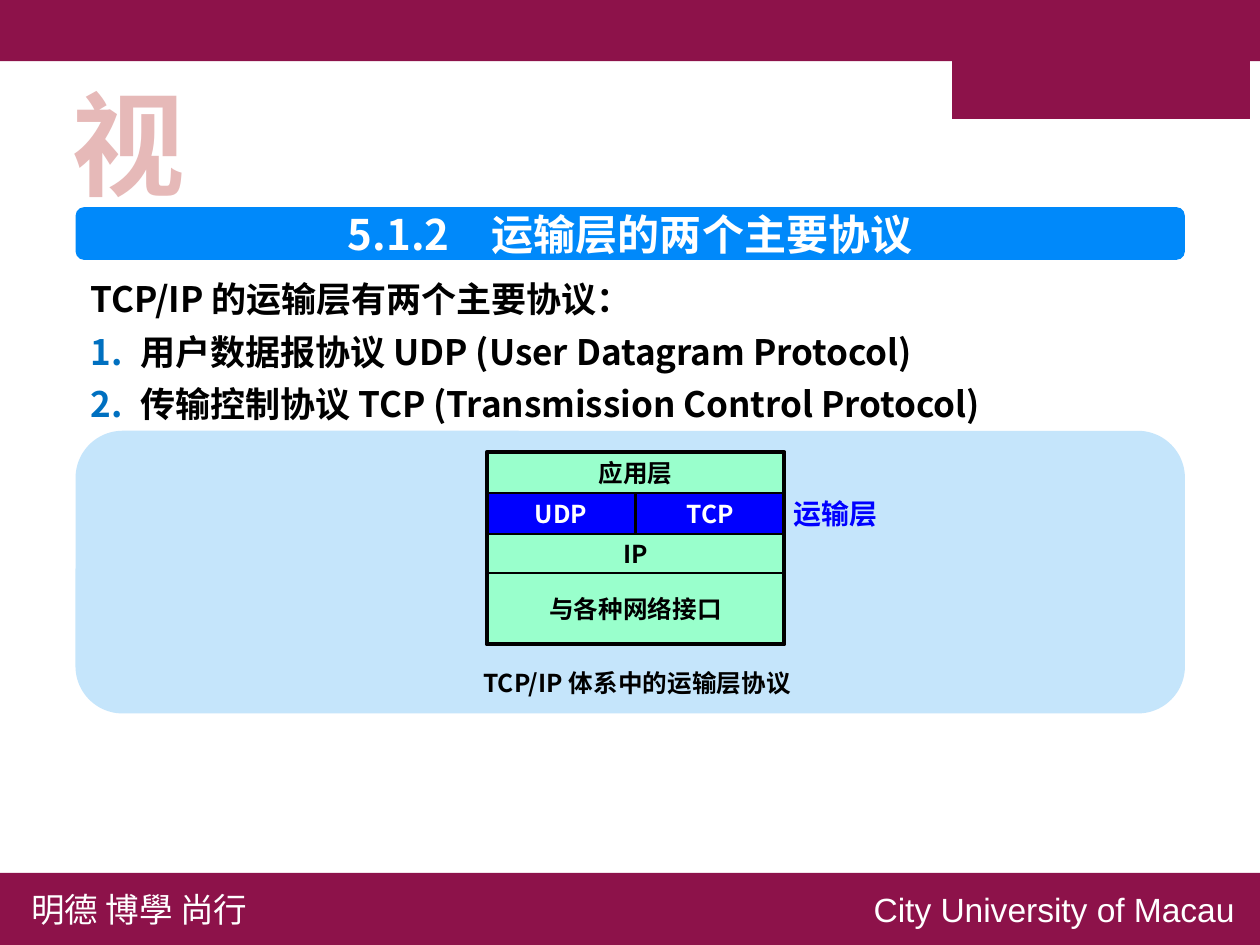
import math

from lxml import etree
from pptx import Presentation
from pptx.dml.color import RGBColor
from pptx.enum import shapes, text
from pptx.oxml import ns
from pptx.util import Cm, Pt

WINE = RGBColor(0x8D, 0x12, 0x4A)
AZURE = RGBColor(0x00, 0x89, 0xFA)
SKY = RGBColor(0xC5, 0xE5, 0xFB)
MINT = RGBColor(0x99, 0xFF, 0xCC)
BLUE = RGBColor(0x00, 0x00, 0xFF)
ROSE = RGBColor(0xE6, 0xB9, 0xB8)
WHITE = RGBColor(0xFF, 0xFF, 0xFF)
BLACK = RGBColor(0x00, 0x00, 0x00)
NUMBER = "0070C0"
NOTO = "Noto Sans CJK SC"
LEFT, MID = text.PP_ALIGN.LEFT, text.PP_ALIGN.CENTER
RECT = shapes.MSO_SHAPE.RECTANGLE
ROUND = shapes.MSO_SHAPE.ROUNDED_RECTANGLE
WIDE, HIGH = 21.17, 15.88


def write(par, words, size=11.7, color=BLACK, bold=True, font=NOTO, align=MID):
    par.alignment = align
    run = par.add_run()
    run.text = words
    face = run.font
    face.name, face.size, face.bold = font, Pt(size), bold
    face.color.rgb = color
    etree.SubElement(face._element, ns.qn("a:ea"), typeface=NOTO)


def style(shape, fill=None, line=0):
    shape.shadow.inherit = False
    if fill is None:
        shape.fill.background()
    else:
        shape.fill.solid()
        shape.fill.fore_color.rgb = fill
    if line:
        shape.line.color.rgb = BLACK
        shape.line.width = Pt(line)
    else:
        shape.line.fill.background()


def block(slide, box, fill=None, line=0, kind=RECT):
    shape = slide.shapes.add_shape(kind, *map(Cm, box))
    style(shape, fill, line)
    return shape


def fill_in(shape, words, **form):
    """Write one centred line inside a shape."""
    frame = shape.text_frame
    frame.margin_top = frame.margin_bottom = 0
    frame.vertical_anchor = text.MSO_ANCHOR.MIDDLE
    write(frame.paragraphs[0], words, **form)


def label(slide, box, words, **form):
    frame = slide.shapes.add_textbox(*map(Cm, box)).text_frame
    frame.word_wrap = False
    write(frame.paragraphs[0], words, **form)


def header(slide, box):
    """Top bar with a tab that hangs from its right end."""
    x, y, w, h = box
    block(slide, box, WINE)
    start, end, low, turn = x + 15.98, x + w, y + 1.66, 0.4
    arc = []
    for step in range(13):
        angle = math.pi / 2 * (1 + step / 12)
        arc.append((start + turn + turn * math.cos(angle),
                    low - turn + turn * math.sin(angle)))
    form = slide.shapes.build_freeform(end, y, scale=Cm(1))
    form.add_line_segments([(end, low), *arc, (start, y)])
    style(form.convert_to_shape(), WINE)


def footer(slide, box):
    x, y, w, h = box
    block(slide, box, WINE)
    plain = dict(size=16, color=WHITE, bold=False, align=LEFT)
    label(slide, (x + 0.28, y + 0.14, 4.27, 0.94), "明德 博學 尚行", **plain)
    label(slide, (x + 14.43, y + 0.14, 6.65, 0.94), "City University of Macau",
          font="Arial", **plain)


def heading(slide, box):
    band = block(slide, box, AZURE, kind=ROUND)
    fill_in(band, "5.1.2　运输层的两个主要协议", size=20, color=WHITE)


def points(slide, box):
    frame = slide.shapes.add_textbox(*map(Cm, box)).text_frame
    frame.word_wrap = True
    lines = ["TCP/IP 的运输层有两个主要协议：",
             "用户数据报协议 UDP (User Datagram Protocol)",
             "传输控制协议 TCP (Transmission Control Protocol)"]
    for spot, line in enumerate(lines):
        par = frame.add_paragraph() if spot else frame.paragraphs[0]
        par.line_spacing = Pt(25)
        if spot:
            number(par)
        write(par, line, size=16.7, align=LEFT)


def number(par):
    props = par._p.get_or_add_pPr()
    props.set("marL", str(Cm(0.84)))
    props.set("indent", str(-Cm(0.84)))
    tint = etree.SubElement(props, ns.qn("a:buClr"))
    etree.SubElement(tint, ns.qn("a:srgbClr"), val=NUMBER)
    etree.SubElement(props, ns.qn("a:buAutoNum"), type="arabicPeriod")


def layers(slide, box):
    """Stack of protocol layers, split into cells row by row."""
    x, y, w, h = box
    rows = [(0.69, MINT, BLACK, ["应用层"]),
            (0.68, BLUE, WHITE, ["UDP", "TCP"]),
            (0.66, MINT, BLACK, ["IP"]),
            (1.2, MINT, BLACK, ["与各种网络接口"])]
    top = y
    for tall, fill, ink, names in rows:
        wide = w / len(names)
        for col, name in enumerate(names):
            cell = block(slide, (x + col * wide, top, wide, tall), fill, 1)
            fill_in(cell, name, color=ink)
        top += tall
    block(slide, box, line=2)
    label(slide, (x + w - 0.1, y + 0.62, 1.93, 0.84), "运输层",
          size=13.3, color=BLUE, align=LEFT)


def panel(slide, box):
    x, y, w, h = box
    block(slide, box, SKY, kind=ROUND)
    layers(slide, (x + 6.91, y + 0.36, 5, 3.23))
    label(slide, (x + 4.09, y + 3.86, 10.69, 0.76), "TCP/IP 体系中的运输层协议")


def main():
    deck = Presentation()
    deck.slide_width, deck.slide_height = Cm(WIDE), Cm(HIGH)
    slide = deck.slides.add_slide(deck.slide_layouts[6])
    header(slide, (0, 0, WIDE, 1.03))
    footer(slide, (0, 14.67, WIDE, HIGH - 14.67))
    edge, span = 1.27, 18.64
    heading(slide, (edge, 3.48, span, 0.89))
    points(slide, (edge, 4.37, 17.75, 2.84))
    panel(slide, (edge, 7.24, span, 4.75))
    label(slide, (0.94, 1.12, 2.44, 2.57), "视", size=54, color=ROSE,
          font="Arial")
    deck.save("out.pptx")


if __name__ == "__main__":
    main()
